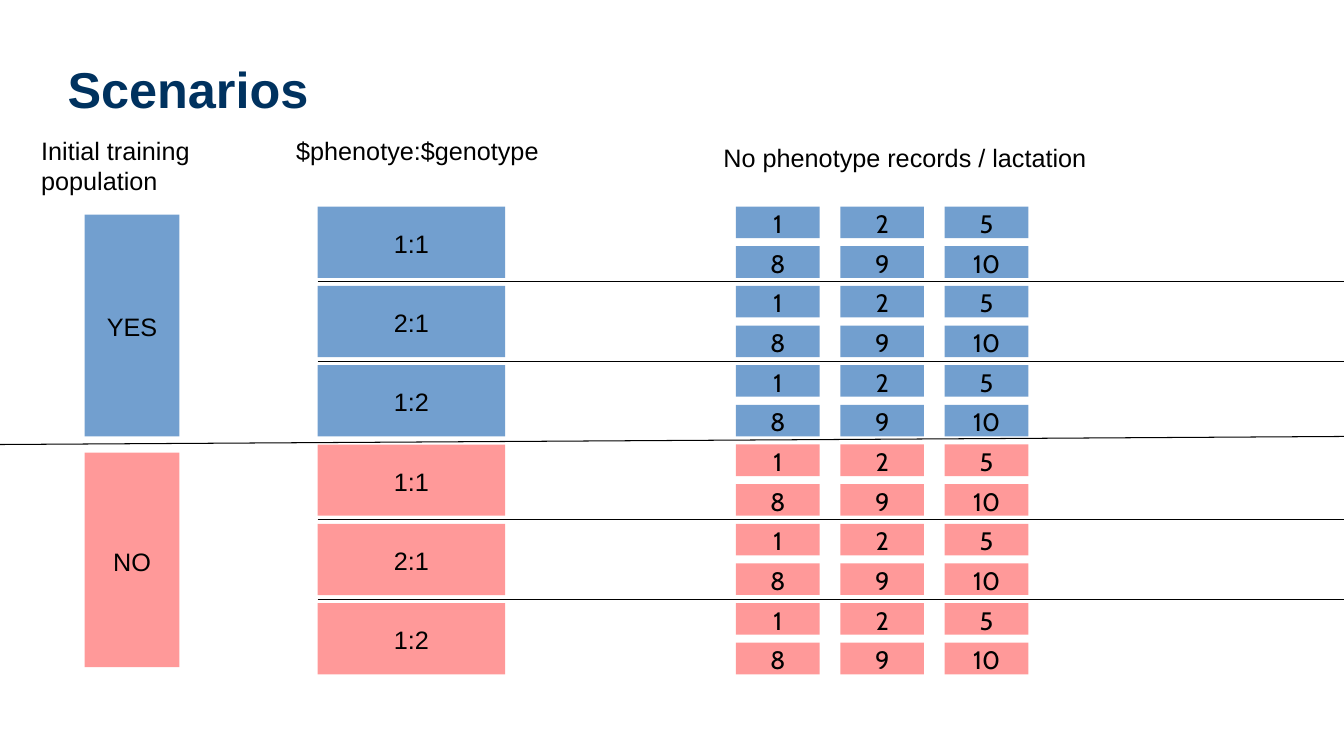
from lxml import etree
from pptx import Presentation
from pptx import util as u
from pptx.dml.color import RGBColor
from pptx.enum import shapes, text
from pptx.oxml import ns

BLUE = RGBColor(0x72, 0x9F, 0xCF)
PINK = RGBColor(0xFF, 0x99, 0x99)
NAVY = RGBColor(0x00, 0x32, 0x5F)
BLACK = RGBColor(0x00, 0x00, 0x00)
WHITE = RGBColor(0xFF, 0xFF, 0xFF)

PAGE_WIDTH, PAGE_HEIGHT = 13.33, 7.5
GRID_TOP, GRID_HEIGHT = 2.05, 4.72
BAND = GRID_HEIGHT / 6
ROW = BAND / 2
GAP = 0.08
RATIO_LEFT, RATIO_WIDTH = 3.15, 1.86
RECORD_LEFT, RECORD_WIDTH, RECORD_PITCH = 7.3, 0.83, 1.035

HEADINGS = [
    ("Initial training\npopulation", (0.31, 1.27, 1.89, 0.38), text.PP_ALIGN.LEFT),
    ("$phenotye:$genotype", (2.57, 1.27, 3.14, 0.66), text.PP_ALIGN.CENTER),
    ("No phenotype records / lactation", (6.38, 1.34, 5.19, 0.66), text.PP_ALIGN.CENTER),
]
GROUPS = [("YES", BLUE, 2.13, 2.2), ("NO", PINK, 4.49, 2.13)]
RATIOS = ["1:1", "2:1", "1:2"]
RECORDS = [["1", "2", "5"], ["8", "9", "10"]]


def write(frame, words, size=18, font="Arial", color=BLACK, bold=False,
          align=text.PP_ALIGN.CENTER, anchor=text.MSO_ANCHOR.MIDDLE,
          wrap=False, inset_top=0.07):
    frame.text = words
    frame.word_wrap = wrap
    frame.auto_size = text.MSO_AUTO_SIZE.NONE
    frame.vertical_anchor = anchor
    frame.margin_left = frame.margin_right = u.Inches(0.1)
    frame.margin_top, frame.margin_bottom = u.Inches(inset_top), u.Inches(0.05)
    for para in frame.paragraphs:
        para.alignment = align
        for span in para.runs:
            span.font.size = u.Pt(size)
            span.font.name = font
            span.font.bold = bold
            span.font.color.rgb = color


def add_box(page, words, area, fill, **style):
    box = page.shapes.add_shape(shapes.MSO_SHAPE.RECTANGLE, *map(u.Inches, area))
    box.shadow.inherit = False
    box.fill.solid()
    box.fill.fore_color.rgb = fill
    box.line.fill.background()
    write(box.text_frame, words, **style)


def add_rule(page, left, start_y, end_y):
    rule = page.shapes.add_connector(
        shapes.MSO_CONNECTOR.STRAIGHT,
        *map(u.Inches, (left, start_y, PAGE_WIDTH, end_y)))
    rule.line.color.rgb = BLACK
    rule.line.width = u.Pt(0.75)
    etree.SubElement(rule._element.spPr, ns.qn("a:effectLst"))


def add_title(page, words):
    title = page.shapes.title
    title.left, title.top, title.width, title.height = map(
        u.Inches, (0.57, 0.52, 12.09, 0.71))
    write(title.text_frame, words, size=36, color=NAVY, bold=True, wrap=True,
          align=text.PP_ALIGN.LEFT, anchor=text.MSO_ANCHOR.BOTTOM, inset_top=0.05)


def add_scenario(page, ratio, top, fill):
    """Draw one ratio box and its grid of record counts."""
    add_box(page, ratio, (RATIO_LEFT, top, RATIO_WIDTH, BAND - GAP), fill)
    for row, counts in enumerate(RECORDS):
        for column, count in enumerate(counts):
            area = (RECORD_LEFT + column * RECORD_PITCH, top + row * ROW,
                    RECORD_WIDTH, ROW - GAP)
            add_box(page, count, area, fill, font="Cabin")


def main():
    deck = Presentation()
    deck.slide_width, deck.slide_height = u.Inches(PAGE_WIDTH), u.Inches(PAGE_HEIGHT)
    page = deck.slides.add_slide(deck.slide_layouts[5])
    add_title(page, "Scenarios")

    for words, area, align in HEADINGS:
        add_box(page, words, area, WHITE, align=align,
                anchor=text.MSO_ANCHOR.TOP, wrap=True)

    for group, (answer, fill, top, height) in enumerate(GROUPS):
        add_box(page, answer, (0.84, top, 0.94, height), fill)
        for index, ratio in enumerate(RATIOS):
            band = group * len(RATIOS) + index
            add_scenario(page, ratio, GRID_TOP + band * BAND, fill)

    for band in (1, 2, 4, 5):
        rule_y = GRID_TOP + band * BAND - GAP / 2
        add_rule(page, RATIO_LEFT, rule_y, rule_y)
    add_rule(page, 0, 4.41, 4.33)

    deck.save("out.pptx")


if __name__ == "__main__":
    main()
